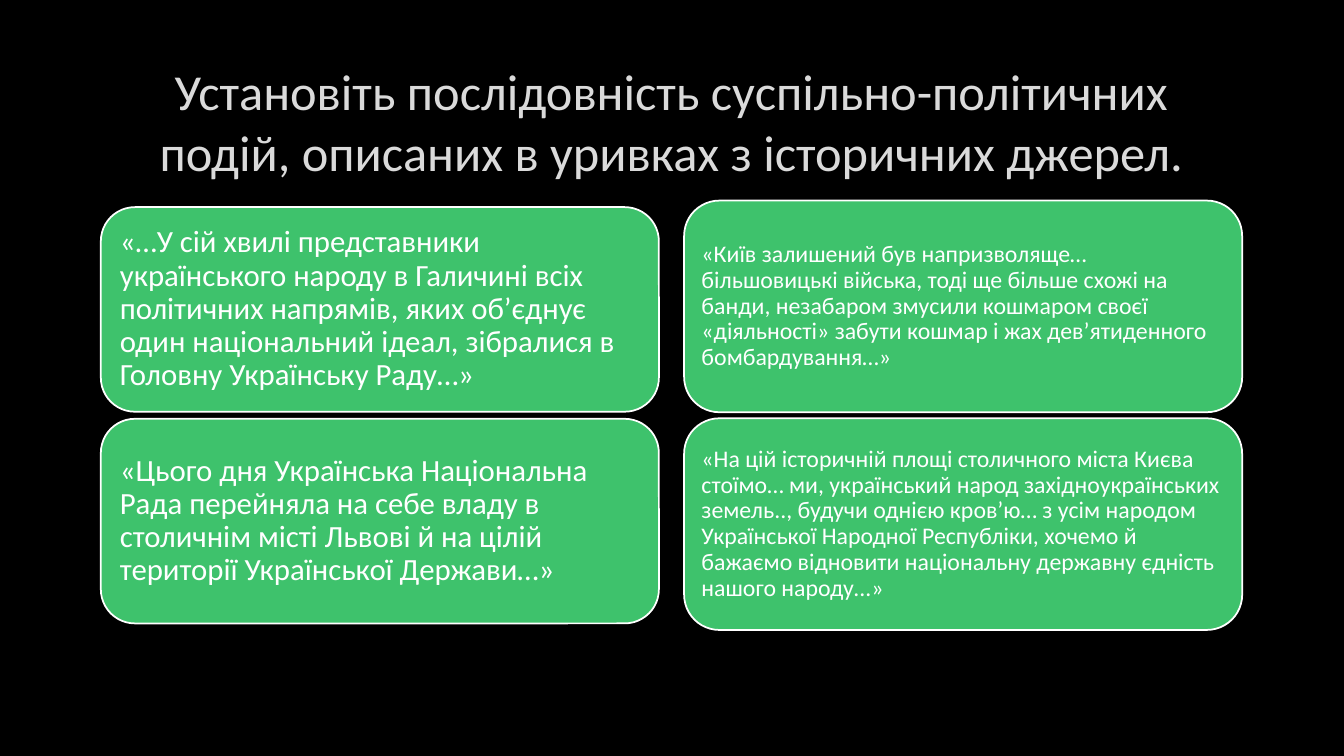
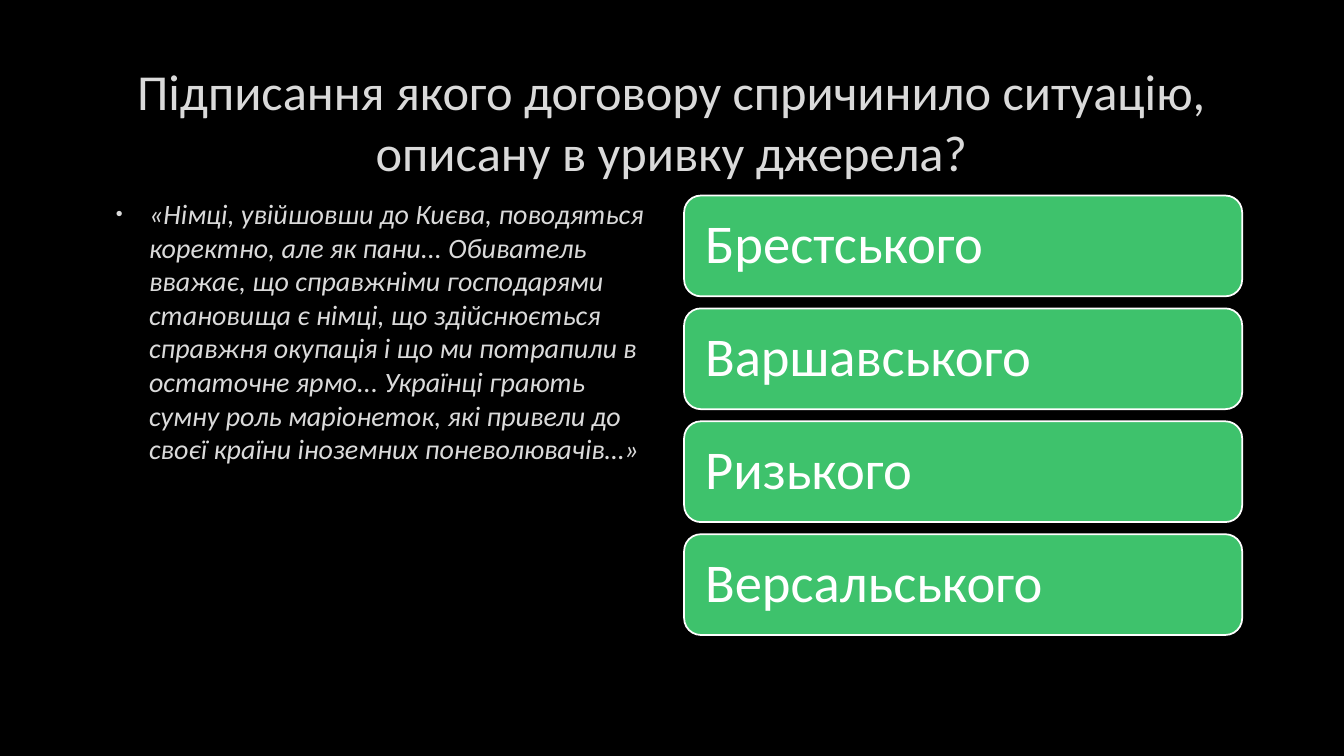
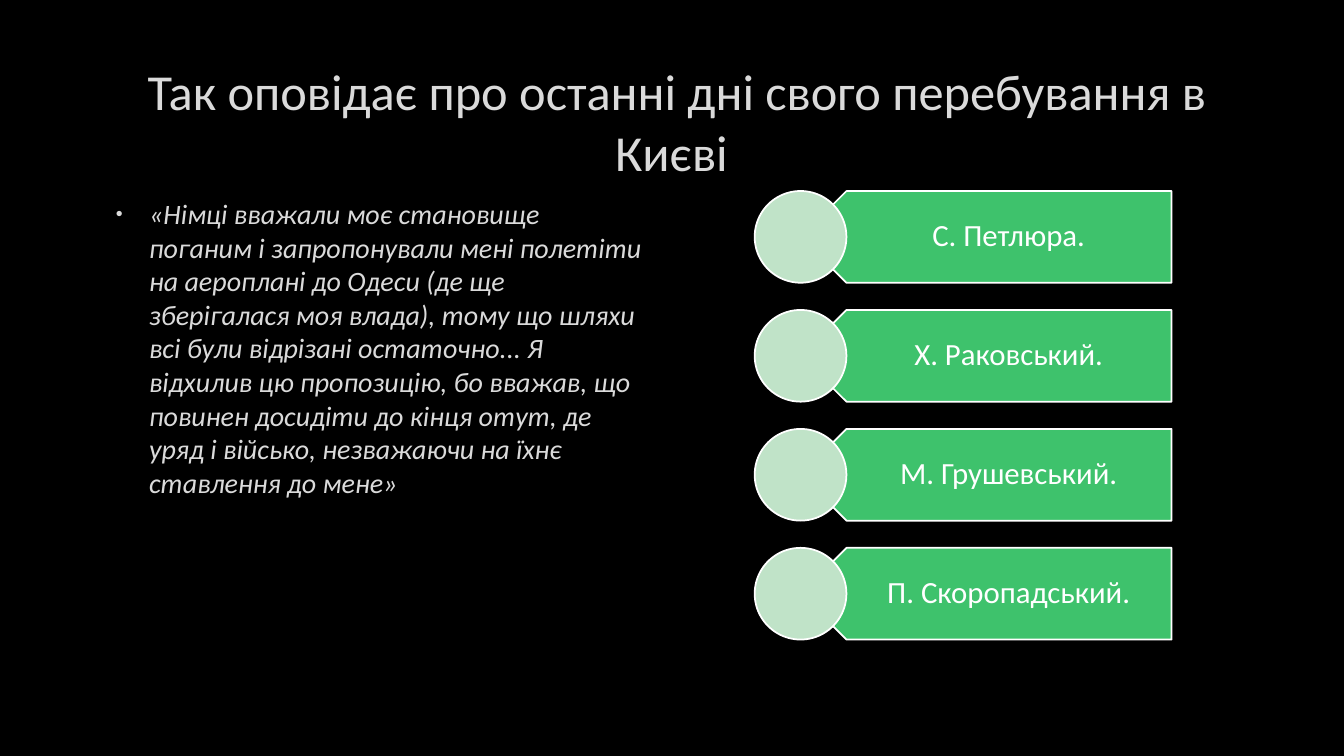
from dataclasses import dataclass

from lxml.etree import SubElement
from pptx import Presentation
from pptx.dml.color import RGBColor
from pptx.enum.shapes import MSO_SHAPE as SHAPE
from pptx.enum.text import MSO_ANCHOR as ANCHOR, PP_ALIGN as ALIGN
from pptx.oxml.ns import qn
from pptx.util import Inches, Pt

FONT = "Calibri"
COLORS = {
    "back": "000000",
    "text": "DADADA",
    "card": "3EC26C",
    "disc": "C0E3C8",
    "white": "FFFFFF",
}
SLIDE_W, SLIDE_H = 13.33, 7.5
MARGIN, GUTTER, CONTENT_W = 1.0, 0.25, 11.32
COL_W = (CONTENT_W - GUTTER) / 2
TITLE_TOP, TITLE_H = 0.67, 1.06
BODY_TOP, BODY_H = 1.9, 4.44
DISC, ARROW_W, ARROW_TEXT_W = 0.91, 3.68, 3.46


@dataclass(frozen=True)
class Stack:
    """Equal rows centred vertically in one column of the body area."""
    col: int
    row_h: float
    gap: float
    size: float
    inset: float
    texts: tuple[str, ...]

    def rows(self) -> list[tuple[float, str]]:
        """Return the top and the text of every row."""
        pitch = self.row_h + self.gap
        height = pitch * len(self.texts) - self.gap
        top = BODY_TOP + (BODY_H - height) / 2
        return [(top + i * pitch, t) for i, t in enumerate(self.texts)]


@dataclass(frozen=True)
class Question:
    """A slide with a title, an optional quotation and its answers."""
    title: str
    quote: str = ""
    cards: tuple[Stack, ...] = ()
    arrows: tuple[Stack, ...] = ()


QUESTIONS = (
    Question(
        "Установіть послідовність суспільно-політичних подій, описаних в уривках з історичних джерел.",
        cards=(
            Stack(0, 2.03, 0.07, 22, 0.09, (
                "«…У сій хвилі представники українського народу в Галичині всіх політичних напрямів, "
                "яких об’єднує один національний ідеал, зібралися в Головну Українську Раду…»",
                "«Цього дня Українська Національна Рада перейняла на себе владу в столичнім місті "
                "Львові й на цілій території Української Держави…»",
            )),
            Stack(1, 2.1, 0.06, 17, 0.07, (
                "«Київ залишений був напризволяще… більшовицькі війська, тоді ще більше схожі на банди, "
                "незабаром змусили кошмаром своєї «діяльності» забути кошмар і жах дев’ятиденного "
                "бомбардування…»",
                "«На цій історичній площі столичного міста Києва стоїмо… ми, український народ "
                "західноукраїнських земель.., будучи однією кров’ю… з усім народом Української Народної "
                "Республіки, хочемо й бажаємо відновити національну державну єдність нашого народу...»",
            )),
        ),
    ),
    Question(
        "Підписання якого договору спричинило ситуацію, описану в уривку джерела?",
        quote="«Німці, увійшовши до Києва, поводяться коректно, але як пани... Обиватель вважає, "
              "що справжніми господарями становища є німці, що здійснюється справжня окупація і що ми "
              "потрапили в остаточне ярмо... Українці грають сумну роль маріонеток, які привели до своєї "
              "країни іноземних поневолювачів…»",
        cards=(Stack(1, 1.0, 0.12, 39, 0.16, (
            "Брестського", "Варшавського", "Ризького", "Версальського")),),
    ),
    Question(
        " Так оповідає про останні дні свого перебування в Києві",
        quote="«Німці вважали моє становище поганим і запропонували мені полетіти на аероплані до Одеси "
              "(де ще зберігалася моя влада), тому що шляхи всі були відрізані остаточно... Я відхилив цю "
              "пропозицію, бо вважав, що повинен досидіти до кінця отут, де уряд і військо, незважаючи на "
              "їхнє ставлення до мене»",
        arrows=(Stack(1, DISC, 0.27, 22, 0.09, (
            "С. Петлюра.", "Х. Раковський.", "М. Грушевський.", "П. Скоропадський.")),),
    ),
)


def rgb(name: str) -> RGBColor:
    """Look up a colour by name."""
    return RGBColor.from_string(COLORS[name])


def col_left(col: int) -> float:
    """Return the left edge of a column."""
    return MARGIN + col * (COL_W + GUTTER)


def box(x: float, y: float, w: float, h: float) -> tuple[int, ...]:
    """Turn inches into a position and a size."""
    return tuple(Inches(v) for v in (x, y, w, h))


def add_figure(slide, kind: SHAPE, at: tuple[int, ...], fill: str):
    """Add a filled shape with a thin white outline."""
    s = slide.shapes.add_shape(kind, *at)
    s.shadow.inherit = False
    s.fill.solid()
    s.fill.fore_color.rgb = rgb(fill)
    s.line.color.rgb = rgb("white")
    s.line.width = Pt(1.25)
    return s


def write(s, text: str, size: float, color: str, align: ALIGN = ALIGN.LEFT,
          anchor: ANCHOR = ANCHOR.MIDDLE, spacing: float = 1.0,
          insets: tuple[float, float, float, float] = (0.1, 0.05, 0.1, 0.05)):
    """Put one formatted paragraph in a shape and return it."""
    tf = s.text_frame
    tf.word_wrap = True
    tf.vertical_anchor = anchor
    tf.margin_left, tf.margin_top, tf.margin_right, tf.margin_bottom = map(Inches, insets)
    tf.text = text
    p = tf.paragraphs[0]
    p.alignment = align
    p.line_spacing = spacing
    for r in p.runs:
        r.font.name = FONT
        r.font.size = Pt(size)
        r.font.color.rgb = rgb(color)
    return p


def add_title(slide, text: str) -> None:
    """Add the centred slide title."""
    s = slide.shapes.add_textbox(*box(MARGIN, TITLE_TOP, CONTENT_W, TITLE_H))
    write(s, text, 36, "text", ALIGN.CENTER)


def add_quote(slide, text: str) -> None:
    """Add the bulleted italic quotation in the first column."""
    s = slide.shapes.add_textbox(*box(col_left(0), BODY_TOP, COL_W, BODY_H))
    p = write(s, text, 20, "text", anchor=ANCHOR.TOP, insets=(0.1, 0.05, 0.12, 0.05))
    p.runs[0].font.italic = True
    props = p._p.get_or_add_pPr()
    props.set("marL", str(Inches(0.38)))
    props.set("indent", str(Inches(-0.33)))
    color = SubElement(props, qn("a:buClr"))
    SubElement(color, qn("a:srgbClr"), val=COLORS["text"])
    SubElement(props, qn("a:buSzPct"), val="70000")
    SubElement(props, qn("a:buFont"), typeface="Arial")
    SubElement(props, qn("a:buChar"), char="•")


def add_cards(slide, stack: Stack) -> None:
    """Fill a column with rounded cards."""
    for top, text in stack.rows():
        at = box(col_left(stack.col), top, COL_W, stack.row_h)
        s = add_figure(slide, SHAPE.ROUNDED_RECTANGLE, at, "card")
        write(s, text, stack.size, "white", spacing=0.9, insets=(stack.inset,) * 4)


def add_arrows(slide, stack: Stack) -> None:
    """Fill a column with left-pointing labels, each headed by a disc."""
    left = col_left(stack.col) + (COL_W - ARROW_W - DISC / 2) / 2
    right = left + DISC / 2 + ARROW_W
    for top, text in stack.rows():
        at = box(right - ARROW_W, top, ARROW_W, stack.row_h)
        add_figure(slide, SHAPE.PENTAGON, at, "card").rotation = 180
        s = slide.shapes.add_textbox(*box(right - ARROW_TEXT_W, top, ARROW_TEXT_W, stack.row_h))
        write(s, text, stack.size, "white", ALIGN.CENTER, spacing=0.9,
              insets=(0.4, stack.inset, 0.17, stack.inset))
        add_figure(slide, SHAPE.OVAL, box(left, top, DISC, DISC), "disc")


def add_question(prs, question: Question) -> None:
    """Build one slide."""
    slide = prs.slides.add_slide(prs.slide_layouts[6])
    fill = slide.background.fill
    fill.solid()
    fill.fore_color.rgb = rgb("back")
    add_title(slide, question.title)
    if question.quote:
        add_quote(slide, question.quote)
    for stack in question.cards:
        add_cards(slide, stack)
    for stack in question.arrows:
        add_arrows(slide, stack)


def main() -> None:
    """Build and save the presentation."""
    prs = Presentation()
    prs.slide_width, prs.slide_height = Inches(SLIDE_W), Inches(SLIDE_H)
    for question in QUESTIONS:
        add_question(prs, question)
    prs.save("out.pptx")


if __name__ == "__main__":
    main()
